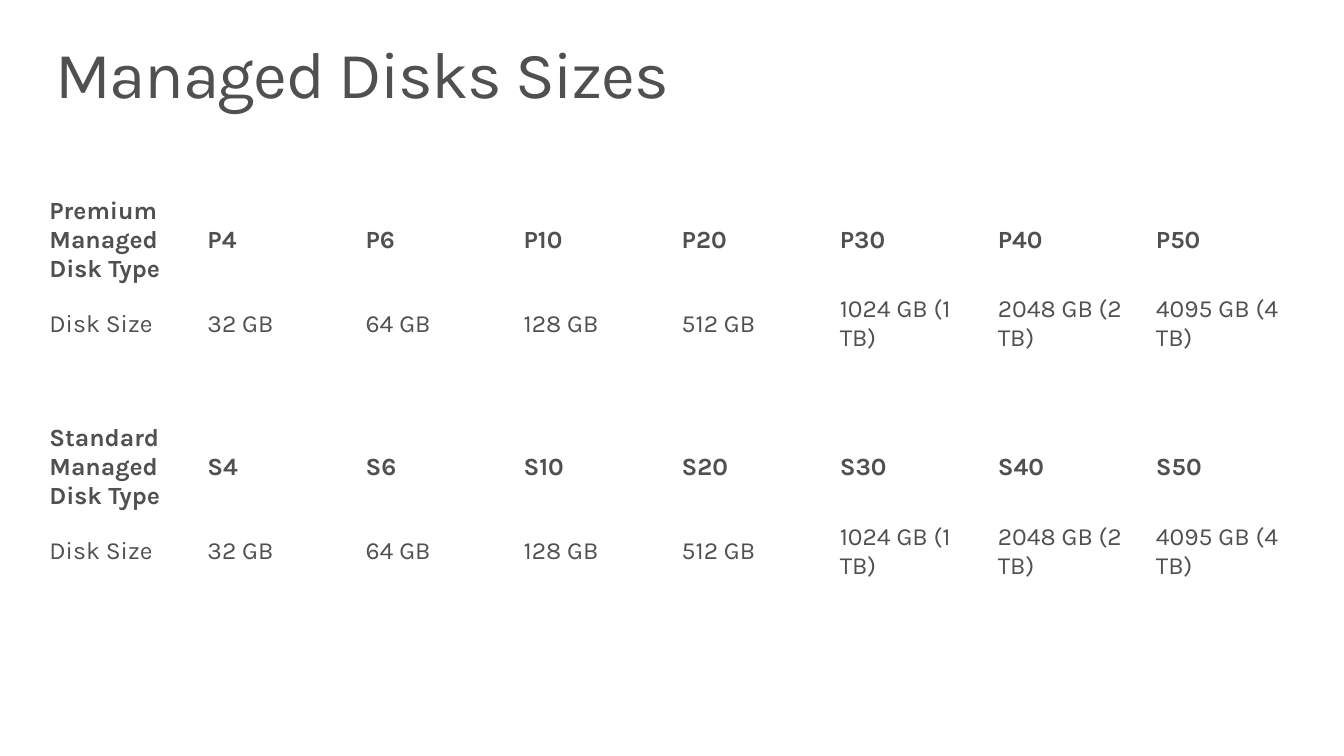
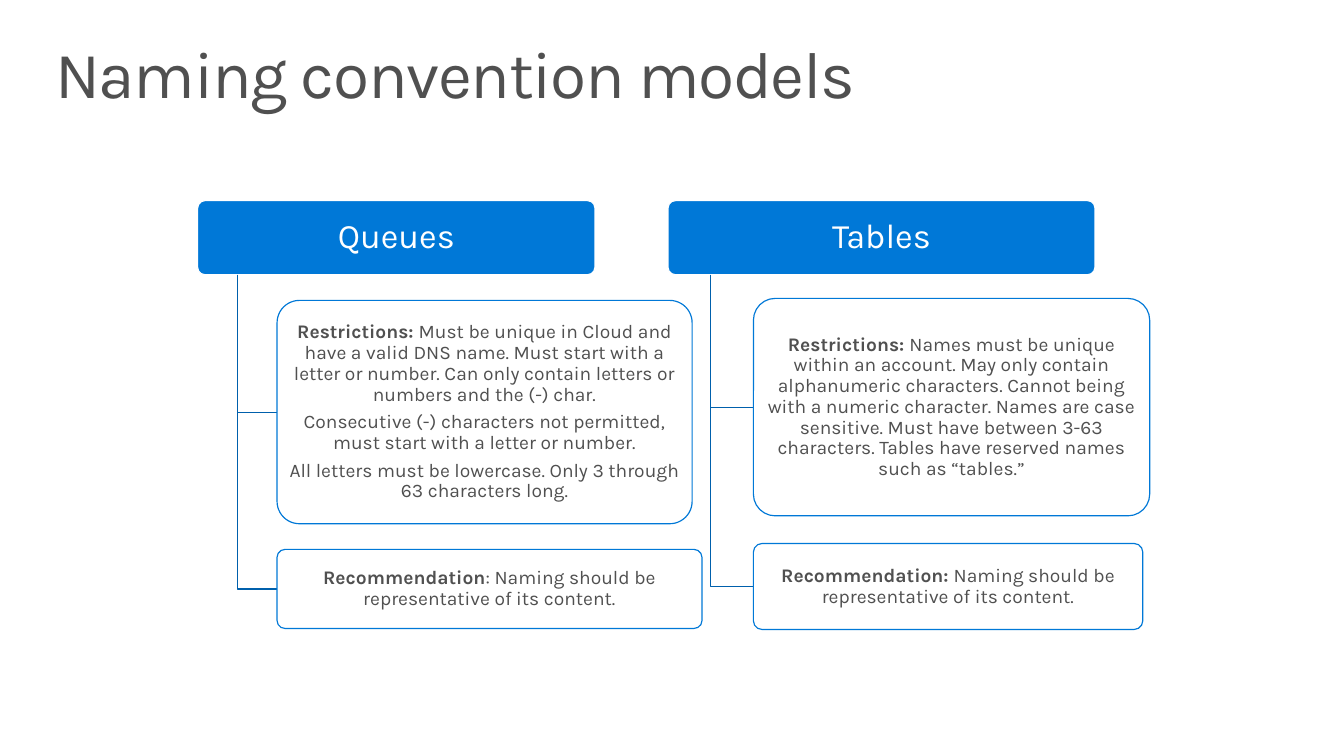
from dataclasses import dataclass

from lxml import etree
from pptx import Presentation
from pptx.dml.color import RGBColor
from pptx.enum.shapes import MSO_SHAPE
from pptx.enum.text import MSO_ANCHOR, PP_ALIGN
from pptx.oxml.ns import qn
from pptx.util import Inches, Pt

ROUNDED = MSO_SHAPE.ROUNDED_RECTANGLE
MIDDLE = MSO_ANCHOR.MIDDLE
CENTER = PP_ALIGN.CENTER


@dataclass(frozen=True)
class Theme:
    font: str = "Karla"
    text: RGBColor = RGBColor(0x50, 0x50, 0x50)
    accent: RGBColor = RGBColor(0x00, 0x78, 0xD7)
    branch: RGBColor = RGBColor(0x00, 0x60, 0xAC)
    white: RGBColor = RGBColor(0xFF, 0xFF, 0xFF)
    title_size: int = 48
    table_size: int = 18
    heading_size: int = 25
    body_size: int = 14
    line_width: float = 0.85


THEME = Theme()
SLIDE_WIDTH, SLIDE_HEIGHT = 13.6, 7.65
MARGIN = 0.4
CONTENT_WIDTH = SLIDE_WIDTH - 2 * MARGIN

SIZES_TITLE = "Managed Disks Sizes"
DISK_NUMBERS = (4, 6, 10, 20, 30, 40, 50)
DISK_SIZES = ("32 GB", "64 GB", "128 GB", "512 GB",
              "1024 GB (1 TB)", "2048 GB (2 TB)", "4095 GB (4 TB)")
DISK_TYPES = ("Premium", "Standard")
TABLE_TOP, TABLE_PITCH = 1.93, 2.3
ROW_HEIGHTS = (1, 0.7)

NAMING_TITLE = "Naming convention models"
TREE_TOP, HEADING_HEIGHT = 2.03, 0.75
TREES = (
    {"heading": "Queues", "left": 2, "width": 4.02, "boxes": (
        {"top": 3.04, "width": 4.2, "height": 2.26, "text": (
            ("Restrictions: ", "Must be unique in Cloud and have a valid DNS name. "
             "Must start with a letter or number. Can only contain letters or "
             "numbers and the (-) char."),
            ("", "Consecutive (-) characters not permitted, must start with a "
             "letter or number."),
            ("", "All letters must be lowercase. Only 3 through 63 characters long."),
        )},
        {"top": 5.56, "width": 4.3, "height": 0.8, "text": (
            ("Recommendation", ": Naming should be representative of its content."),
        )},
    )},
    {"heading": "Tables", "left": 6.76, "width": 4.32, "boxes": (
        {"top": 3.02, "width": 4.01, "height": 2.2, "text": (
            ("Restrictions: ", "Names must be unique within an account. May only "
             "contain alphanumeric characters. Cannot being with a numeric character. "
             "Names are case sensitive. Must have between 3-63 characters. Tables "
             "have reserved names such as “tables.”"),
        )},
        {"top": 5.5, "width": 3.94, "height": 0.87, "text": (
            ("Recommendation: ", "Naming should be representative of its content."),
        )},
    )},
)


def set_font(paragraph, size, color):
    paragraph.font.name = THEME.font
    paragraph.font.size = Pt(size)
    paragraph.font.color.rgb = color


def set_insets(frame, horizontal, vertical):
    frame.margin_left = frame.margin_right = Inches(horizontal)
    frame.margin_top = frame.margin_bottom = Inches(vertical)


def add_titled_slide(presentation, title):
    slide = presentation.slides.add_slide(presentation.slide_layouts[6])
    box = slide.shapes.add_textbox(
        Inches(MARGIN), Inches(0.32), Inches(CONTENT_WIDTH), Inches(1))
    frame = box.text_frame
    frame.word_wrap = True
    set_insets(frame, 0.16, 0.1)
    paragraph = frame.paragraphs[0]
    run = paragraph.add_run()
    run.text = title
    run.font._element.set("spc", "-100")
    paragraph.line_spacing = 0.9
    set_font(paragraph, THEME.title_size, THEME.text)
    return slide


def add_size_table(slide, disk_type, top):
    rows = (
        [f"{disk_type} Managed Disk Type"] + [f"{disk_type[0]}{n}" for n in DISK_NUMBERS],
        ["Disk Size", *DISK_SIZES],
    )
    table = slide.shapes.add_table(
        len(rows), len(rows[0]), Inches(MARGIN), Inches(top),
        Inches(CONTENT_WIDTH), Inches(sum(ROW_HEIGHTS))).table
    table.first_row = table.horz_banding = False
    for row_index, values in enumerate(rows):
        table.rows[row_index].height = Inches(ROW_HEIGHTS[row_index])
        for column_index, value in enumerate(values):
            cell = table.cell(row_index, column_index)
            cell.fill.background()
            cell.vertical_anchor = MIDDLE
            cell.text = value
            paragraph = cell.text_frame.paragraphs[0]
            set_font(paragraph, THEME.table_size, THEME.text)
            paragraph.font.bold = row_index == 0


def add_box(slide, place, fill, line, paragraphs, size, color, insets):
    shape = slide.shapes.add_shape(ROUNDED, *map(Inches, place))
    shape.adjustments[0] = 0.1
    shape.shadow.inherit = False
    shape.fill.solid()
    shape.fill.fore_color.rgb = fill
    shape.line.color.rgb = line
    shape.line.width = Pt(THEME.line_width)
    frame = shape.text_frame
    frame.word_wrap = True
    frame.vertical_anchor = MIDDLE
    set_insets(frame, *insets)
    for index, (lead, body) in enumerate(paragraphs):
        paragraph = frame.add_paragraph() if index else frame.paragraphs[0]
        paragraph.alignment = CENTER
        paragraph.line_spacing = 0.9
        paragraph.space_after = Pt(round(size * 0.35))
        set_font(paragraph, size, color)
        if lead:
            run = paragraph.add_run()
            run.text = lead
            run.font.bold = True
        paragraph.add_run().text = body
    return shape


def make_translucent(shape, percent):
    color = shape.fill._xPr.find(qn("a:solidFill"))[0]
    etree.SubElement(color, qn("a:alpha")).set("val", str(percent * 1000))


def add_branch(slide, trunk, top, end, middle):
    builder = slide.shapes.build_freeform(Inches(trunk), Inches(top))
    builder.add_line_segments(
        [(Inches(trunk), Inches(middle)), (Inches(end), Inches(middle))], close=False)
    branch = builder.convert_to_shape()
    branch.shadow.inherit = False
    branch.fill.background()
    branch.line.color.rgb = THEME.branch
    branch.line.width = Pt(THEME.line_width)


def add_tree(slide, tree):
    left, width = tree["left"], tree["width"]
    indent = width / 10
    trunk, box_left = left + indent, left + 2 * indent
    add_box(slide, (left, TREE_TOP, width, HEADING_HEIGHT), THEME.accent, THEME.white,
            [("", tree["heading"])], THEME.heading_size, THEME.white, (0.05, 0.03))
    for box in tree["boxes"]:
        top, height = box["top"], box["height"]
        add_branch(slide, trunk, TREE_TOP + HEADING_HEIGHT, box_left, top + height / 2)
        shape = add_box(slide, (box_left, top, box["width"], height), THEME.white,
                        THEME.accent, box["text"], THEME.body_size, THEME.text,
                        (0.03, 0.02))
        make_translucent(shape, 90)


def main():
    presentation = Presentation()
    presentation.slide_width = Inches(SLIDE_WIDTH)
    presentation.slide_height = Inches(SLIDE_HEIGHT)
    sizes_slide = add_titled_slide(presentation, SIZES_TITLE)
    for index, disk_type in enumerate(DISK_TYPES):
        add_size_table(sizes_slide, disk_type, TABLE_TOP + index * TABLE_PITCH)
    naming_slide = add_titled_slide(presentation, NAMING_TITLE)
    for tree in TREES:
        add_tree(naming_slide, tree)
    presentation.save("out.pptx")


if __name__ == "__main__":
    main()
